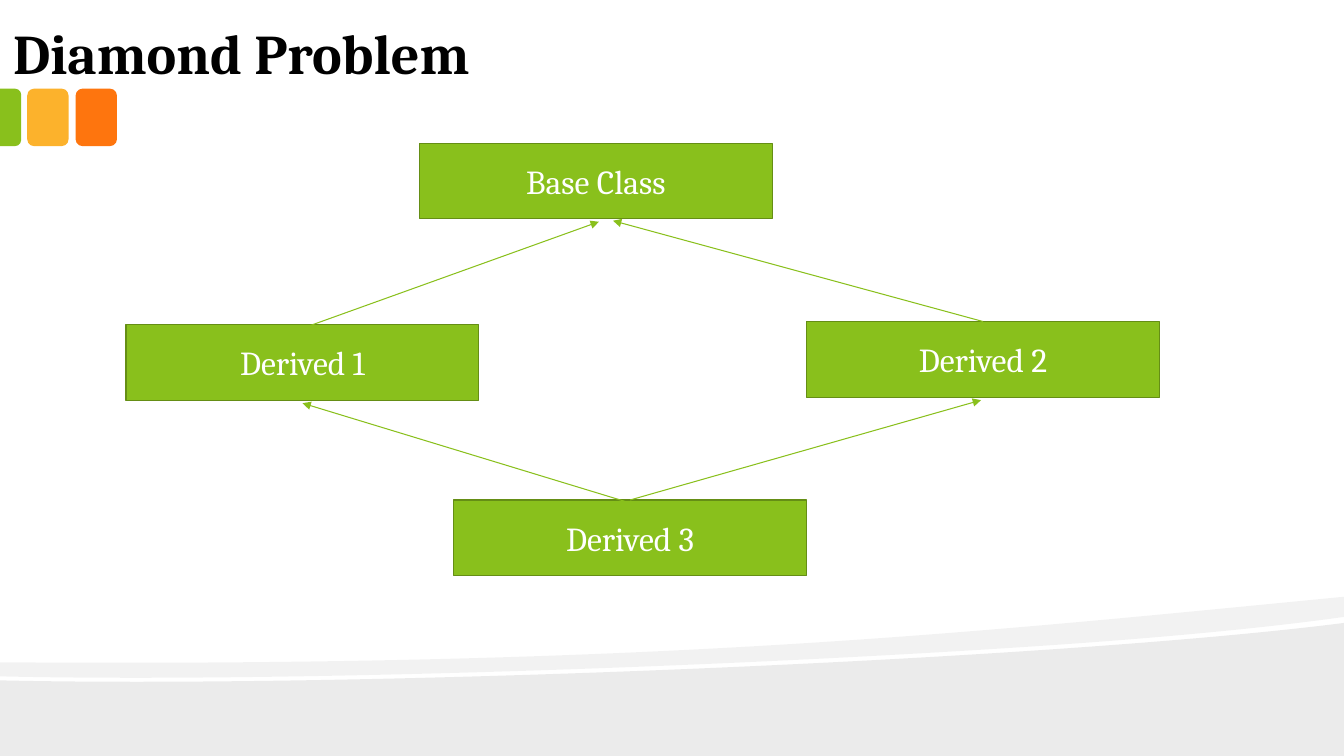
from lxml import etree
from pptx import Presentation
from pptx.dml.color import RGBColor
from pptx.enum.shapes import MSO_CONNECTOR, MSO_SHAPE
from pptx.enum.text import MSO_ANCHOR, PP_ALIGN
from pptx.oxml.ns import qn
from pptx.util import Inches, Pt

RECTANGLE = MSO_SHAPE.RECTANGLE
ROUNDED = MSO_SHAPE.ROUNDED_RECTANGLE
ROUNDED_TOP = MSO_SHAPE.ROUND_2_SAME_RECTANGLE
STRAIGHT = MSO_CONNECTOR.STRAIGHT
MIDDLE, BOTTOM = MSO_ANCHOR.MIDDLE, MSO_ANCHOR.BOTTOM
CENTER, JUSTIFY = PP_ALIGN.CENTER, PP_ALIGN.JUSTIFY

# Content
TITLE = "Diamond Problem"
CLASSES = [  # name, left, top
    ("Base Class", 4.16, 1.42),
    ("Derived 2", 8, 3.19),
    ("Derived 1", 1.25, 3.22),
    ("Derived 3", 4.5, 4.96),
]
CLASS_SIZE = (3.5, 0.75)
INHERITANCE = [  # from the subclass, to its parent
    ((3.02, 3.25), (5.94, 2.2)),
    ((9.75, 3.19), (6.08, 2.19)),
    ((6.25, 4.99), (3, 4)),
    ((6.25, 4.96), (9.73, 3.97)),
]
# Each wave: opacity in percent, start, then steps of one point (line)
# or three points (Bezier curve)
WAVES = [
    (8, (13.33, 6.18), [
        [(13.33, 7.5)], [(0, 7.5)], [(0, 6.75)],
        [(3.52, 6.83), (10.42, 6.55), (13.33, 6.18)]]),
    (5, (13.33, 5.92), [
        [(13.33, 6.12)],
        [(12.55, 6.23), (11.49, 6.33), (10.29, 6.41)],
        [(6.98, 6.63), (2.58, 6.77), (0, 6.71)],
        [(0, 6.57)],
        [(6.52, 6.62), (9.71, 6.27), (13.33, 5.92)]]),
]
TABS = [  # shape, left, top, width, height, rotation, colour
    (ROUNDED, 0.75, 0.88, 0.41, 0.57, 0, "orange"),
    (ROUNDED, 0.27, 0.88, 0.41, 0.57, 0, "yellow"),
    (ROUNDED_TOP, -0.18, 1.06, 0.57, 0.21, 90, "green"),
]

THEME = {
    "font": "Cambria", "title size": 40, "class size": 24,
    "green": "89C01C", "dark green": "658E15", "yellow": "FCB22C",
    "orange": "FE750E", "black": "000000", "white": "FFFFFF",
}


def color(name):
    return RGBColor.from_string(THEME[name])


def paint(shape, fill, line=None):
    shape.shadow.inherit = False
    shape.fill.solid()
    shape.fill.fore_color.rgb = color(fill)
    if line:
        shape.line.color.rgb = color(line)
        shape.line.width = Pt(0.85)
    else:
        shape.line.fill.background()


def write(shape, text, size, ink, align, anchor, bold=False):
    frame = shape.text_frame
    frame.word_wrap = True
    frame.vertical_anchor = anchor
    para = frame.paragraphs[0]
    para.text = text
    para.alignment = align
    para.font.name = THEME["font"]
    para.font.size = Pt(THEME[size])
    para.font.bold = bold
    para.font.color.rgb = color(ink)
    return frame


def add_box(page, kind, left, top, width, height):
    return page.shapes.add_shape(
        kind, Inches(left), Inches(top), Inches(width), Inches(height))


def add_wave(page, opacity, start, steps):
    points = [(Inches(x), Inches(y)) for step in steps for x, y in step]
    builder = page.shapes.build_freeform(*(Inches(value) for value in start))
    builder.add_line_segments(points, close=True)
    wave = builder.convert_to_shape()
    paint(wave, "black")
    properties = wave._element.spPr
    tint = properties.find(qn("a:solidFill"))[0]
    etree.SubElement(tint, qn("a:alpha")).set("val", str(opacity * 1000))

    # Gather each run of three points into one curve
    segments = iter(list(properties.iter(qn("a:lnTo"))))
    for step in steps:
        parts = [next(segments) for _ in step]
        if len(parts) == 3:
            curve = etree.Element(qn("a:cubicBezTo"))
            parts[0].addprevious(curve)
            for part in parts:
                curve.append(part[0])
                part.getparent().remove(part)


def add_arrow(page, start, end):
    arrow = page.shapes.add_connector(
        STRAIGHT, *(Inches(value) for value in (*start, *end)))
    arrow.line.color.rgb = color("green")
    arrow.line.width = Pt(0.75)
    properties = arrow._element.spPr
    outline = properties.find(qn("a:ln"))
    etree.SubElement(outline, qn("a:tailEnd")).set("type", "triangle")
    etree.SubElement(properties, qn("a:effectLst"))


def main():
    deck = Presentation()
    deck.slide_width, deck.slide_height = Inches(13.33), Inches(7.5)
    page = deck.slides.add_slide(deck.slide_layouts[6])
    page.background.fill.solid()
    page.background.fill.fore_color.rgb = color("white")

    # Waves along the bottom
    for opacity, start, steps in WAVES:
        add_wave(page, opacity, start, steps)

    # Coloured tabs under the title
    for kind, left, top, width, height, rotation, fill in TABS:
        tab = add_box(page, kind, left, top, width, height)
        tab.rotation = rotation
        paint(tab, fill)
        if kind == ROUNDED_TOP:
            tab.adjustments[0] = 0.29

    # Title
    title = page.shapes.add_textbox(Inches(0), Inches(0.03), Inches(12.91), Inches(0.89))
    frame = write(title, TITLE, "title size", "black", JUSTIFY, BOTTOM, bold=True)
    frame.margin_left = frame.margin_right = Inches(0.13)
    frame.margin_top = frame.margin_bottom = Inches(0.07)

    # Class diagram
    for name, left, top in CLASSES:
        box = add_box(page, RECTANGLE, left, top, *CLASS_SIZE)
        paint(box, "green", "dark green")
        write(box, name, "class size", "white", CENTER, MIDDLE)
    for start, end in INHERITANCE:
        add_arrow(page, start, end)

    deck.save("out.pptx")


if __name__ == "__main__":
    main()
